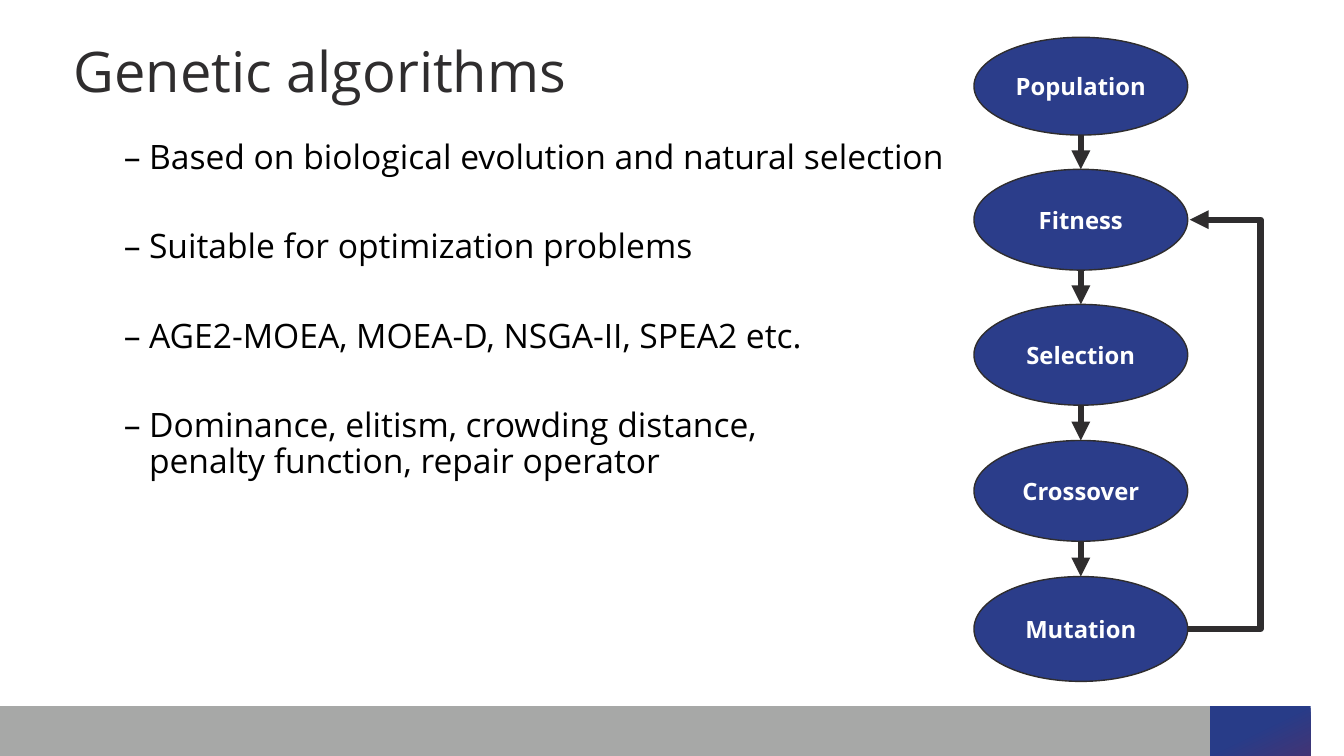
import dataclasses
import itertools

import lxml.etree
import pptx
import pptx.dml.color
import pptx.enum.shapes
import pptx.enum.text
import pptx.oxml.ns
import pptx.util

Inches = pptx.util.Inches
Pt = pptx.util.Pt
PP_ALIGN = pptx.enum.text.PP_ALIGN
ANCHOR = pptx.enum.text.MSO_ANCHOR
CONNECTOR = pptx.enum.shapes.MSO_CONNECTOR
qn = pptx.oxml.ns.qn

FONT = "Open Sans"
DARK, BLUE, WHITE, BLACK, GREY = "2F2D2E", "2B3D8A", "FFFFFF", "000000", "A7A8A7"
STEP_LEFT, STEP_WIDTH = 9.66, 2.12
STEP_RIGHT = STEP_LEFT + STEP_WIDTH
STEP_MIDDLE = STEP_LEFT + STEP_WIDTH / 2
LOOP_X = 12.5


@dataclasses.dataclass
class Step:
    name: str
    top: float
    height: float

    @property
    def bottom(self) -> float:
        return self.top + self.height

    @property
    def middle(self) -> float:
        return self.top + self.height / 2


STEPS = [
    Step("Population", 0.37, 0.97),
    Step("Fitness", 1.68, 1),
    Step("Selection", 3.02, 1),
    Step("Crossover", 4.37, 1),
    Step("Mutation", 5.72, 1.04),
]

POINTS = [
    "Based on biological evolution and natural selection",
    "Suitable for optimization problems",
    "AGE2-MOEA, MOEA-D, NSGA-II, SPEA2 etc.",
    "Dominance, elitism, crowding distance,\vpenalty function, repair operator",
]


def rgb(value: str) -> pptx.dml.color.RGBColor:
    return pptx.dml.color.RGBColor.from_string(value)


def write(p, text: str, *, size: float, color: str, bold: bool = False,
          align=PP_ALIGN.LEFT, spacing: float = 1.0, before: float = 0) -> None:
    p.text = text
    p.alignment = align
    p.line_spacing = spacing
    p.space_before = Pt(before)
    for r in p.runs:
        r.font.name = FONT
        r.font.size = Pt(size)
        r.font.bold = bold
        r.font.color.rgb = rgb(color)


def add_dash(p) -> None:
    pPr = p._p.get_or_add_pPr()
    pPr.set("marL", str(Inches(0.75)))
    pPr.set("indent", str(Inches(-0.25)))
    lxml.etree.SubElement(pPr, qn("a:buFont")).set("typeface", FONT)
    lxml.etree.SubElement(pPr, qn("a:buChar")).set("char", "–")


def add_panel(slide, points: list[tuple[float, float]]):
    builder = slide.shapes.build_freeform(*points[0], scale=Inches(1))
    builder.add_line_segments(points[1:], close=True)
    sp = builder.convert_to_shape()
    sp.shadow.inherit = False
    sp.line.fill.background()
    return sp


def add_footer(slide) -> None:
    bar = add_panel(slide, [(0, 7.02), (12.32, 7.02), (12.13, 7.5), (0, 7.5)])
    bar.fill.solid()
    bar.fill.fore_color.rgb = rgb(GREY)
    corner = add_panel(slide, [(12.45, 7.02), (13.33, 7.02), (13.33, 7.5), (12.26, 7.5)])
    corner.fill.gradient()
    corner.fill.gradient_angle = 360 - 64
    stops = [(0.32, "283C88"), (1, "5F2C60")]
    for stop, (position, color) in zip(corner.fill.gradient_stops, stops):
        stop.position = position
        stop.color.rgb = rgb(color)


def add_title(slide, text: str) -> None:
    sp = slide.shapes.title
    sp.left, sp.top, sp.width, sp.height = map(Inches, (0.63, 0.34, 12.05, 0.79))
    tf = sp.text_frame
    tf.vertical_anchor = ANCHOR.MIDDLE
    write(tf.paragraphs[0], text, size=40, color=DARK, spacing=0.9)


def add_points(slide, points: list[str]) -> None:
    box = slide.shapes.add_textbox(*map(Inches, (0.63, 1.34, 12.05, 5.49)))
    tf = box.text_frame
    tf.word_wrap = True
    for i, text in enumerate(points):
        p = tf.add_paragraph() if i else tf.paragraphs[0]
        write(p, text, size=24, color=BLACK, spacing=0.9, before=38 if i else 0)
        add_dash(p)


def add_step(slide, step: Step) -> None:
    sp = slide.shapes.add_shape(
        pptx.enum.shapes.MSO_SHAPE.OVAL,
        *map(Inches, (STEP_LEFT, step.top, STEP_WIDTH, step.height)))
    sp.shadow.inherit = False
    sp.fill.solid()
    sp.fill.fore_color.rgb = rgb(BLUE)
    sp.line.color.rgb = rgb(DARK)
    sp.line.width = Pt(1)
    tf = sp.text_frame
    tf.vertical_anchor = ANCHOR.MIDDLE
    write(tf.paragraphs[0], step.name, size=17, color=WHITE, bold=True,
          align=PP_ALIGN.CENTER)


def add_arrow(slide, kind, start: tuple[float, float], end: tuple[float, float]):
    cxn = slide.shapes.add_connector(kind, *map(Inches, start + end))
    cxn.line.color.rgb = rgb(DARK)
    cxn.line.width = Pt(4.5)
    lxml.etree.SubElement(cxn.line._get_or_add_ln(), qn("a:tailEnd")).set("type", "triangle")
    lxml.etree.SubElement(cxn._element.spPr, qn("a:effectLst"))
    return cxn


def add_loop(slide, source: Step, target: Step) -> None:
    gap = 0.02
    cxn = add_arrow(slide, CONNECTOR.ELBOW, (STEP_RIGHT, source.middle),
                    (STEP_RIGHT + gap, target.middle))
    bend = round((LOOP_X - STEP_RIGHT) / gap * 100000)
    geometry = cxn._element.spPr.find(qn("a:prstGeom"))
    guides = geometry.find(qn("a:avLst"))
    if guides is None:
        guides = lxml.etree.SubElement(geometry, qn("a:avLst"))
    guide = lxml.etree.SubElement(guides, qn("a:gd"))
    guide.set("name", "adj1")
    guide.set("fmla", f"val {bend}")


def main() -> None:
    prs = pptx.Presentation()
    prs.slide_width, prs.slide_height = Inches(13.33), Inches(7.5)
    slide = prs.slides.add_slide(prs.slide_layouts[5])
    add_footer(slide)
    add_points(slide, POINTS)
    add_title(slide, "Genetic algorithms")
    for step in STEPS:
        add_step(slide, step)
    for upper, lower in itertools.pairwise(STEPS):
        add_arrow(slide, CONNECTOR.STRAIGHT, (STEP_MIDDLE, upper.bottom),
                  (STEP_MIDDLE, lower.top))
    add_loop(slide, STEPS[-1], STEPS[1])
    prs.save("out.pptx")


if __name__ == "__main__":
    main()
